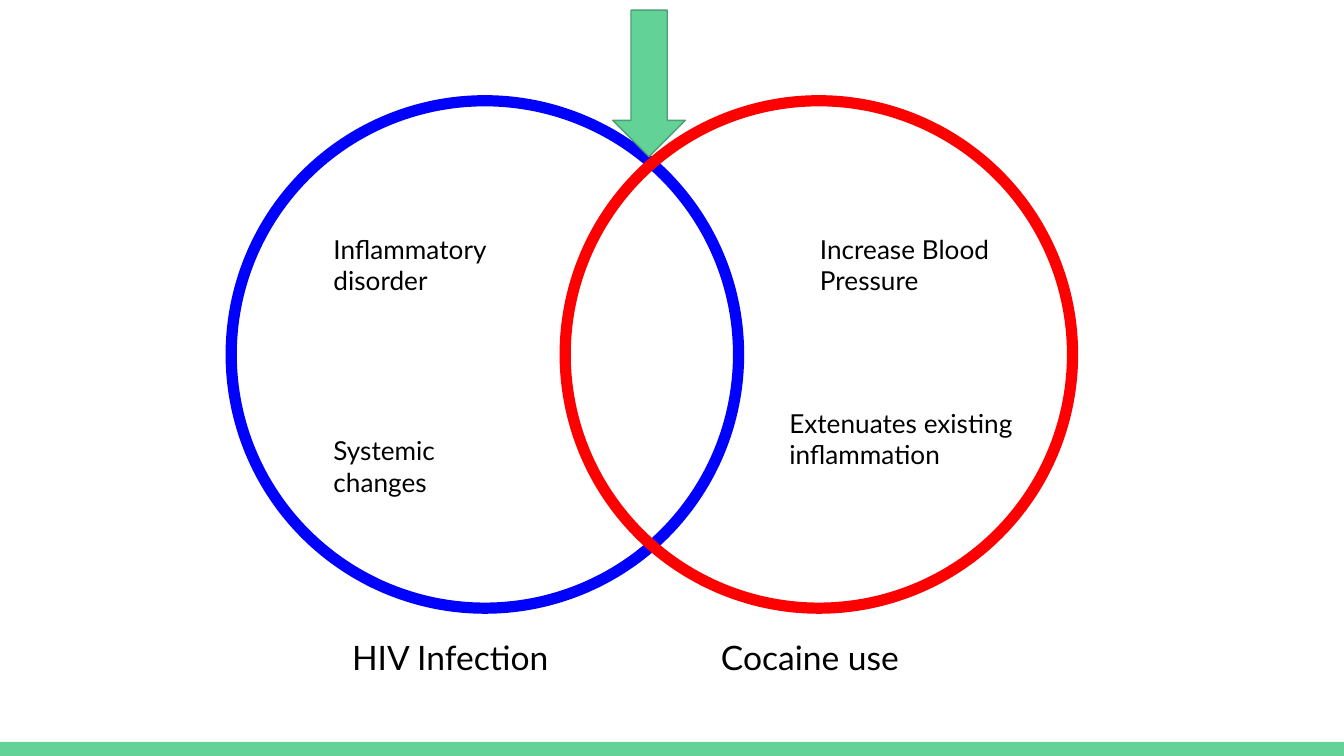
from pptx import Presentation
from pptx.dml.color import RGBColor
from pptx.enum.shapes import MSO_SHAPE as Shape
from pptx.enum.text import MSO_ANCHOR as Anchor, PP_ALIGN as Align
from pptx.util import Inches, Pt

COLUMNS, ROWS = 100, 56.25
CELL = Inches(10) / COLUMNS
FONT = "Lato"
COLORS = {
    "green": "63D297",
    "dark_green": "4BA173",
    "blue": "0000FF",
    "red": "FF0000",
    "black": "000000",
}


def cells(*counts):
    return [round(count * CELL) for count in counts]


def color(name):
    return RGBColor.from_string(COLORS[name])


def add_figure(page, kind, place, fill=None, line=None, weight=0):
    figure = page.shapes.add_shape(kind, *cells(*place))
    figure.shadow.inherit = False
    if fill:
        figure.fill.solid()
        figure.fill.fore_color.rgb = color(fill)
    else:
        figure.fill.background()
    if line:
        figure.line.color.rgb = color(line)
        figure.line.width = Pt(weight)
    else:
        figure.line.fill.background()


def add_label(page, text, place, size, align=Align.LEFT):
    box = page.shapes.add_textbox(*cells(*place))
    frame = box.text_frame
    frame.word_wrap = True
    frame.vertical_anchor = Anchor.TOP
    frame.margin_left = frame.margin_right = Inches(0.1)
    frame.margin_top = frame.margin_bottom = Inches(0.1)
    frame.text = text
    para = frame.paragraphs[0]
    para.alignment = align
    font = para.runs[0].font
    font.name = FONT
    font.size = Pt(size)
    font.color.rgb = color("black")


def add_circles(page):
    diameter = 37.75
    for left, line in ((17.2, "blue"), (42.05, "red")):
        place = (left, 7.5, diameter, diameter)
        add_figure(page, Shape.OVAL, place, line=line, weight=6)


def add_titles(page):
    titles = (("HIV Infection", 24.95, 17.1), ("Cocaine use", 50.02, 20.5))
    for text, left, width in titles:
        add_label(page, text, (left, 46.4, width, 5.6), 18, Align.CENTER)


def add_effects(page):
    effects = (
        ("Inflammatory disorder", 23.83, 16.35, 16),
        ("Systemic changes", 23.83, 31.33, 16),
        ("Increase Blood Pressure", 60.03, 16.35, 16),
        ("Extenuates existing inflammation", 57.74, 29.3, 20.5),
    )
    for text, left, top, width in effects:
        add_label(page, text, (left, top, width, 4.1), 14)


def main():
    deck = Presentation()
    deck.slide_width, deck.slide_height = cells(COLUMNS, ROWS)
    page = deck.slides.add_slide(deck.slide_layouts[6])
    band = 1.05
    add_figure(page, Shape.RECTANGLE, (0, ROWS - band, COLUMNS, band), "green")
    add_circles(page)
    add_titles(page)
    add_effects(page)
    arrow = (45.6, 0.75, 5.4, 10.9)
    add_figure(page, Shape.DOWN_ARROW, arrow, "green", "dark_green", 0.75)
    deck.save("out.pptx")


main()
